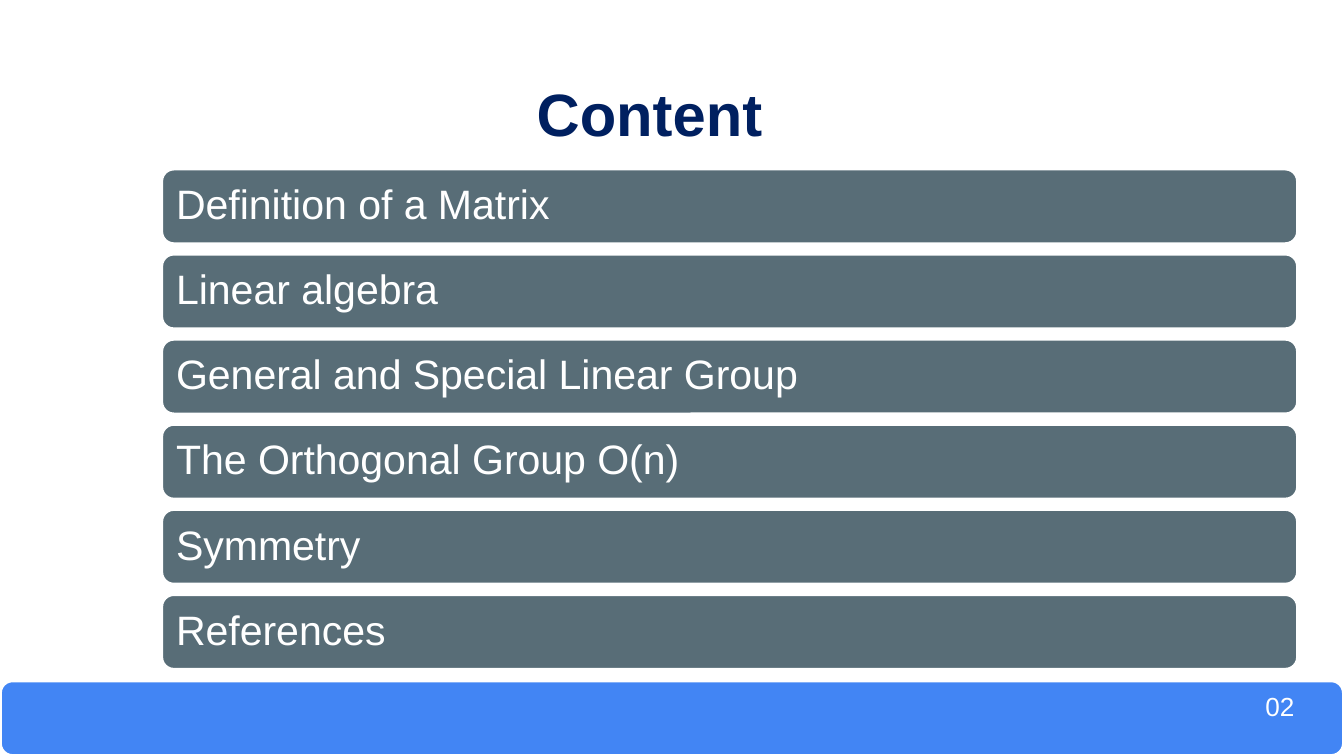
from pptx import Presentation
from pptx.dml.color import RGBColor
from pptx.enum.shapes import MSO_SHAPE
from pptx.enum.text import MSO_ANCHOR, MSO_AUTO_SIZE, PP_ALIGN
from pptx.util import Pt

ROUNDED = MSO_SHAPE.ROUNDED_RECTANGLE
TOP, MIDDLE = MSO_ANCHOR.TOP, MSO_ANCHOR.MIDDLE
LEFT, RIGHT = PP_ALIGN.LEFT, PP_ALIGN.RIGHT
NO_AUTOFIT = MSO_AUTO_SIZE.NONE

NAVY = RGBColor(0x00, 0x20, 0x60)
SLATE = RGBColor(0x58, 0x6D, 0x77)
BLUE = RGBColor(0x42, 0x85, 0xF4)
WHITE = RGBColor(0xFF, 0xFF, 0xFF)

FONT = "Arial"
SLIDE_WIDTH, SLIDE_HEIGHT = 720, 405
BAR_HEIGHT = 40.5
BAR_GAP = 5.1
TOPICS = [
    "Definition of a Matrix",
    "Linear algebra",
    "General and Special Linear Group",
    "The Orthogonal Group O(n)",
    "Symmetry",
    "References",
]


def write_line(frame, text, size, color, align=LEFT, bold=False):
    paragraph = frame.paragraphs[0]
    paragraph.alignment = align
    run = paragraph.add_run()
    run.text = text
    run.font.name = FONT
    run.font.size = Pt(size)
    run.font.bold = bold
    run.font.color.rgb = color
    return paragraph


def set_insets(frame, left, top, right, bottom):
    frame.margin_left, frame.margin_top = Pt(left), Pt(top)
    frame.margin_right, frame.margin_bottom = Pt(right), Pt(bottom)


def add_bar(slide, left, top, width, height, color):
    bar = slide.shapes.add_shape(ROUNDED, Pt(left), Pt(top), Pt(width), Pt(height))
    bar.shadow.inherit = False
    bar.fill.solid()
    bar.fill.fore_color.rgb = color
    bar.line.color.rgb = WHITE
    bar.line.width = Pt(2)
    bar.text_frame.word_wrap = True
    return bar


def place_title(slide, left, top, width, height):
    title = slide.shapes.title
    title.left, title.top = Pt(left), Pt(top)
    title.width, title.height = Pt(width), Pt(height)
    frame = title.text_frame
    frame.auto_size = NO_AUTOFIT
    frame.word_wrap = True
    frame.vertical_anchor = TOP
    set_insets(frame, 263, 7.2, 7.2, 7.2)
    write_line(frame, "Content", 32, NAVY, bold=True)


def place_topics(slide, left, top, width):
    for index, topic in enumerate(TOPICS):
        bar_top = top + index * (BAR_HEIGHT + BAR_GAP)
        frame = add_bar(slide, left, bar_top, width, BAR_HEIGHT, SLATE).text_frame
        frame.vertical_anchor = MIDDLE
        set_insets(frame, 6, 6, 6, 6)
        write_line(frame, topic, 22, WHITE).line_spacing = 0.9


def place_footer(slide, left, top, width, height):
    frame = add_bar(slide, left, top, width, height, BLUE).text_frame
    frame.vertical_anchor = TOP
    set_insets(frame, 7.2, 3.6, 24.5, 3.6)
    write_line(frame, "02", 14, WHITE, RIGHT)


def main():
    deck = Presentation()
    deck.slide_width, deck.slide_height = Pt(SLIDE_WIDTH), Pt(SLIDE_HEIGHT)
    title_only = deck.slide_layouts[5]
    slide = deck.slides.add_slide(title_only)
    place_title(slide, 24.5, 34, 671, 45.4)
    place_topics(slide, 86.4, 90.3, 609)
    place_footer(slide, 0, SLIDE_HEIGHT - BAR_HEIGHT, SLIDE_WIDTH, BAR_HEIGHT)
    deck.save("out.pptx")


if __name__ == "__main__":
    main()
